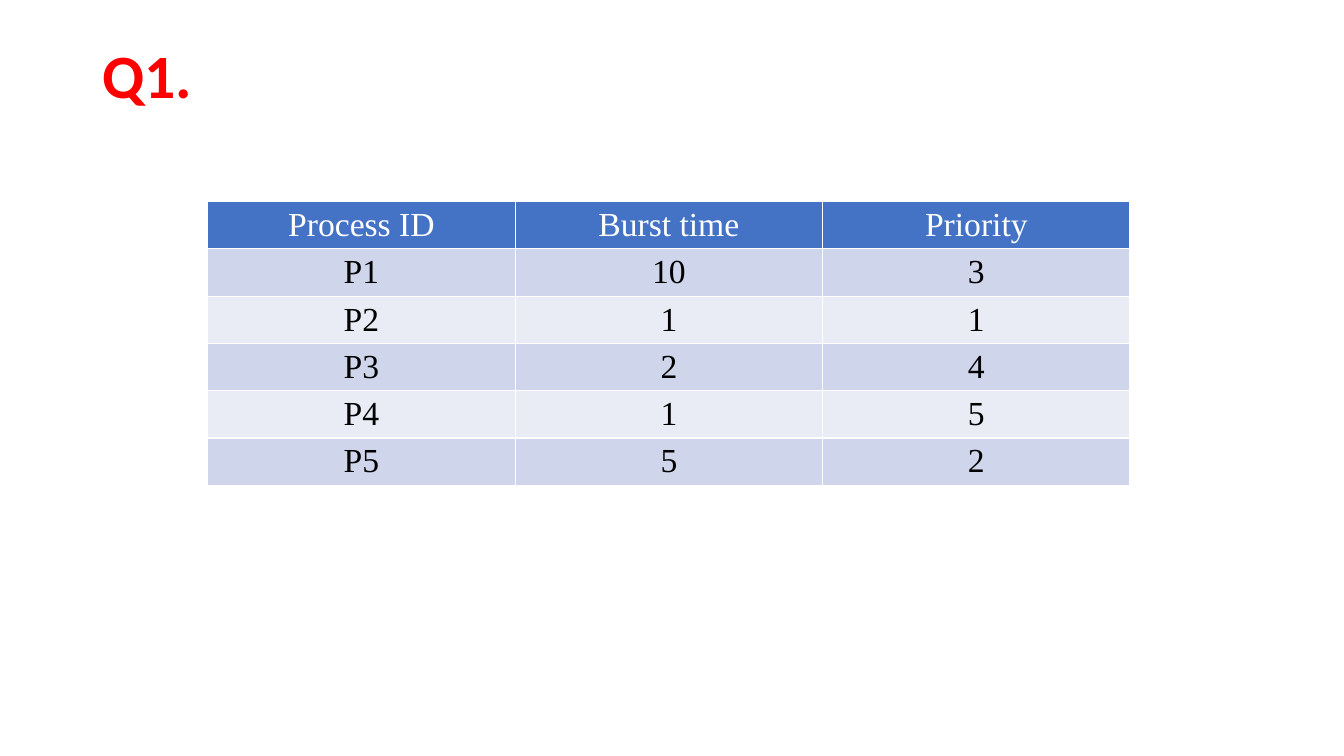
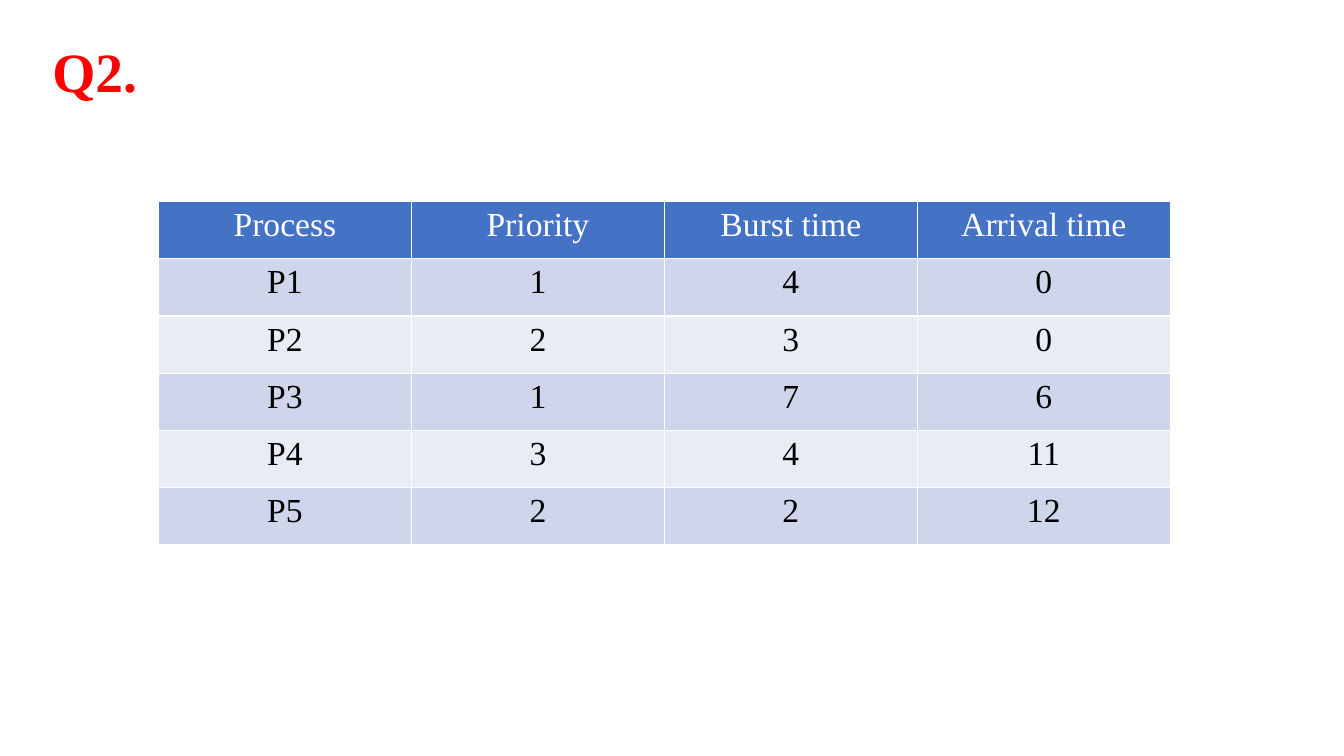
from pptx import Presentation
from pptx.dml.color import RGBColor
from pptx.enum.text import MSO_ANCHOR as Anchor, MSO_AUTO_SIZE as AutoSize, PP_ALIGN as Align
from pptx.util import Pt

SERIF = "Times New Roman"
TITLE_COLOR = "FF0000"
HEADER_FILL = "4472C4"
BAND_FILLS = ["E9EBF5", "CFD5EA"]
TABLE_TOP = 144


def color(value):
    return RGBColor.from_string(value)


def write(frame, text, *, size, ink, font=SERIF, bold=False, align=Align.CENTER, spacing=1.0):
    paragraph = frame.paragraphs[0]
    paragraph.alignment = align
    paragraph.line_spacing = spacing
    run = paragraph.add_run()
    run.text = text
    run.font.name = font
    run.font.size = Pt(size)
    run.font.bold = bold
    run.font.color.rgb = color(ink)


questions = [
    {
        "title": "Q1.", "title_font": "Calibri", "title_size": 44,
        "title_box": (66, 28.8, 828, 54.8),
        "left": 148.4, "column_width": 219.6, "row_height": 33.6,
        "rows": [
            ("Process ID", "Burst time", "Priority"),
            ("P1", "10", "3"),
            ("P2", "1", "1"),
            ("P3", "2", "4"),
            ("P4", "1", "5"),
            ("P5", "5", "2"),
        ],
    },
    {
        "title": "Q2.", "title_font": SERIF, "title_size": 39.6,
        "title_box": (30.2, 28.8, 864, 48.2),
        "left": 113.2, "column_width": 180.7, "row_height": 40.9,
        "rows": [
            ("Process", "Priority", "Burst time", "Arrival time"),
            ("P1", "1", "4", "0"),
            ("P2", "2", "3", "0"),
            ("P3", "1", "7", "6"),
            ("P4", "3", "4", "11"),
            ("P5", "2", "2", "12"),
        ],
    },
]

presentation = Presentation()
presentation.slide_width = Pt(960)
presentation.slide_height = Pt(540)
title_only = presentation.slide_layouts.get_by_name("Title Only")

for question in questions:
    slide = presentation.slides.add_slide(title_only)

    title = slide.shapes.title
    title.left, title.top, title.width, title.height = map(Pt, question["title_box"])
    title.text_frame.auto_size = AutoSize.NONE
    title.text_frame.vertical_anchor = Anchor.MIDDLE
    write(title.text_frame, question["title"], size=question["title_size"], ink=TITLE_COLOR,
          font=question["title_font"], bold=True, align=Align.LEFT, spacing=0.9)

    rows = question["rows"]
    column_count = len(rows[0])
    table = slide.shapes.add_table(
        len(rows), column_count, Pt(question["left"]), Pt(TABLE_TOP),
        Pt(question["column_width"] * column_count), Pt(question["row_height"] * len(rows)),
    ).table
    for column in table.columns:
        column.width = Pt(question["column_width"])

    for row_index, values in enumerate(rows):
        table.rows[row_index].height = Pt(question["row_height"])
        is_header = row_index == 0
        for column_index, value in enumerate(values):
            cell = table.cell(row_index, column_index)
            cell.fill.solid()
            cell.fill.fore_color.rgb = color(HEADER_FILL if is_header else BAND_FILLS[row_index % 2])
            write(cell.text_frame, value, size=24, ink="FFFFFF" if is_header else "000000")

presentation.save("out.pptx")
